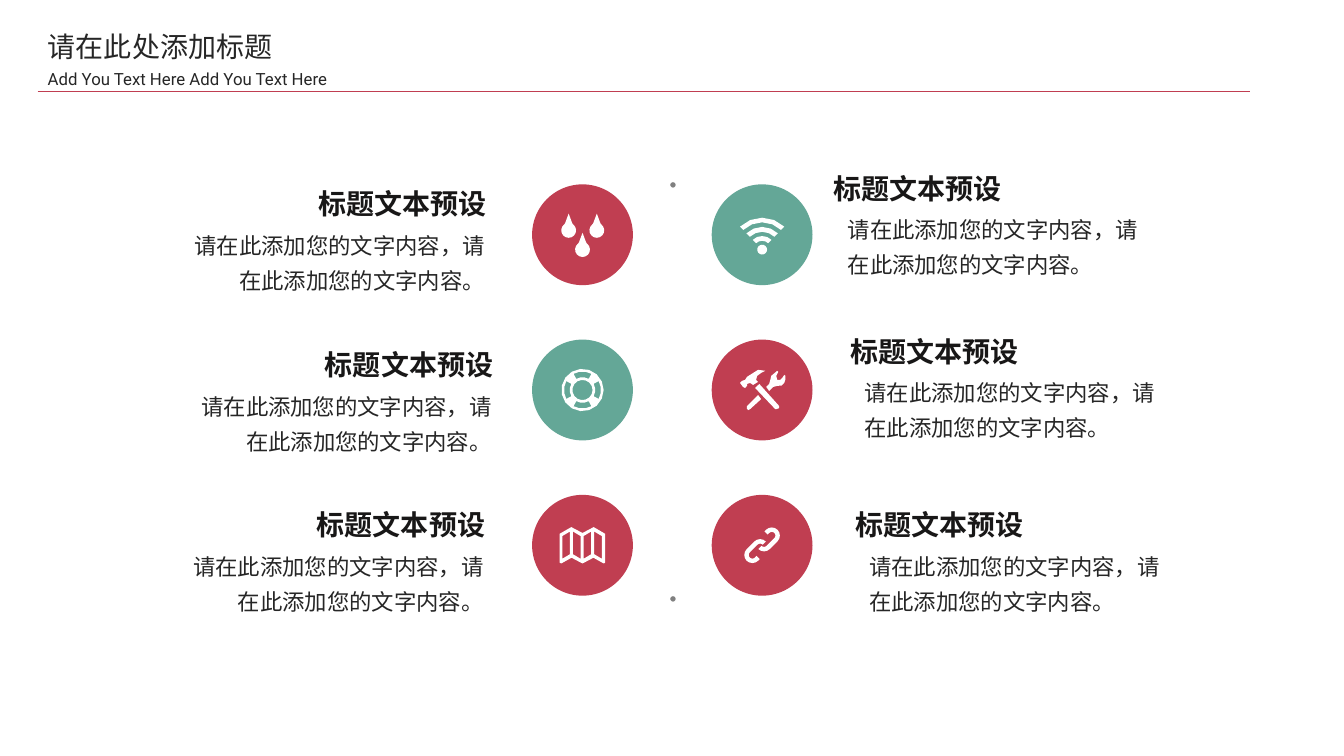
"""Build a slide of six captioned icons in two columns."""
from math import cos, hypot, radians, sin

from pptx import Presentation
from pptx.dml.color import RGBColor
from pptx.enum.shapes import MSO_CONNECTOR, MSO_SHAPE
from pptx.enum.text import MSO_ANCHOR, MSO_AUTO_SIZE, PP_ALIGN
from pptx.oxml.ns import qn
from pptx.util import Pt
from lxml import etree

LEFT, RIGHT = PP_ALIGN.LEFT, PP_ALIGN.RIGHT
TOP = MSO_ANCHOR.TOP
NO_AUTOFIT = MSO_AUTO_SIZE.NONE
OVAL = MSO_SHAPE.OVAL
STRAIGHT = MSO_CONNECTOR.STRAIGHT

RED = RGBColor(0xC0, 0x3E, 0x51)
GREEN = RGBColor(0x64, 0xA7, 0x97)
GRAY = RGBColor(0x80, 0x80, 0x80)
WHITE = RGBColor(0xFF, 0xFF, 0xFF)
INK = RGBColor(0x26, 0x26, 0x26)
HEADING_INK = RGBColor(0x18, 0x17, 0x17)

FONT = "Roboto"
HEADING = "标题文本预设"
DESCRIPTION = "请在此添加您的文字内容，请在此添加您的文字内容。"

CIRCLE_SIZE, DOT_SIZE = 72, 5
LEFT_CENTER, RIGHT_CENTER, AXIS = 416.1, 544.4, 480.7
AXIS_TOP, AXIS_BOTTOM = 132.1, 427.8
FIRST_ROW, ROW_STEP = 167.7, 110.9
HEADING_WIDTH, DESCRIPTION_WIDTH = 194.4, 218
ARC_STEP = 24

HAMMER_HEAD = [
    (-10.8, -4.3), (-8.6, -5), (-6.5, -3.6), (-2.9, -5.8), (-4.3, -7.2), (-3.6, -10),
    (-0.7, -12.2), (2.2, -13.7), (-2.9, -14.4), (-8.6, -10.8), (-10.8, -9.4),
    (-12.2, -7.2), (-14.4, -6.5), (-15.8, -5), (-13.7, -2.2), (-12.2, -1.4), (-10.8, -2.9)]
HAMMER_HANDLE = [(-2, -4.3), (-5, -1.4), (9.4, 13.7), (10.1, 13.7), (12.2, 13), (12.2, 11.5)]
WRENCH_HEAD = [
    (16.6, -10.1), (15.8, -10.8), (14.4, -8.6), (12.9, -7.2), (10.8, -7.2), (10.1, -10),
    (11.5, -13), (10.8, -13.7), (6.5, -10.1), (5.8, -7), (5, -4.3), (2.9, -2.2),
    (5, 0.7), (7.9, -2.2), (10.8, -2.9), (14, -3.2), (15.8, -5), (16.6, -7.5)]
WRENCH_HANDLE = [(-10.8, 11.5), (-11, 13), (-10.1, 14.4), (-8.6, 13.7), (-0.7, 6.5), (-2.9, 3.6)]


def arc(x, y, radius, start, end):
    """Return points on an arc, with angles running clockwise in degrees."""
    steps = max(3, round(abs(end - start) / ARC_STEP))
    angles = [radians(start + (end - start) * i / steps) for i in range(steps + 1)]
    return [(x + radius * cos(a), y + radius * sin(a)) for a in angles]


def band(y, inner, outer, start, end):
    """Return the outline of a ring sector."""
    return arc(0, y, outer, start, end) + arc(0, y, inner, end, start)


def drops_icon():
    """Return the outlines of three water drops."""
    drop = [(-2.6, 7), (0, 0), (2.6, 7)] + arc(0, 12, 5.3, -30, 210)
    tips = [(-9.9, -15.1), (10.2, -15.1), (0, -1.4)]
    return [[(x + dx, y + dy) for dx, dy in drop] for x, y in tips]


def wifi_icon():
    """Return the outlines of a signal dot and its three waves."""
    waves = [(6.2, 9.6), (12.6, 16.1), (19.4, 22.7)]
    return [arc(0, 10.6, 3.5, 0, 360)] + [band(10.5, *wave, 226, 314) for wave in waves]


def lifebuoy_icon():
    """Return the outlines of a ring with four openings."""
    rings = [arc(0, 0, radius, 0, 360) for radius in (15.1, 7.2)]
    return rings + [band(0, 9.1, 13.2, mid - 29, mid + 29) for mid in range(0, 360, 90)]


def map_icon():
    """Return the outlines of a folded map with four panels."""
    sheet = [(-16.4, -8.2), (-8, -13), (0, -8.8), (8, -13), (16.2, -8.2), (16.2, 12.4),
             (15.2, 13), (7.8, 8.9), (0, 13), (-7.8, 8.9), (-15.2, 13), (-16.4, 12.4)]
    panels = []
    for i in range(4):
        x = -14.4 + 7.6 * i
        rise, fall = (0, 3.2) if i % 2 == 0 else (3.2, 0)
        panels.append([(x, -6.6 - rise), (x + 5.4, -6.6 - fall),
                       (x + 5.4, 9.6 - fall), (x, 9.6 - rise)])
    return [sheet] + panels


def link_icon():
    """Return the outlines of two interlocked chain links."""
    outer, inner = 5.8, 2.6
    link = ([(-8.2, outer)] + arc(-9.8, 0, outer, 90, 270) + arc(-2, 0, outer, 270, 360)
            + arc(-2, 0, inner, 360, 270) + arc(-9.8, 0, inner, 270, 90) + [(-8.2, inner)])
    diagonal = hypot(1, 1)
    return [[(side * (u + v) / diagonal, side * (v - u) / diagonal) for u, v in link]
            for side in (1, -1)]


def tools_icon():
    """Return the outlines of a crossed hammer and wrench."""
    return [HAMMER_HEAD, HAMMER_HANDLE, WRENCH_HEAD, WRENCH_HANDLE]


def add_disc(slide, x, y, size, color):
    """Add a plain disc centred on a point."""
    disc = slide.shapes.add_shape(OVAL, Pt(x - size / 2), Pt(y - size / 2), Pt(size), Pt(size))
    disc.shadow.inherit = False
    disc.fill.solid()
    disc.fill.fore_color.rgb = color
    disc.line.fill.background()
    return disc


def add_icon(slide, x, y, outlines):
    """Add a white icon whose outlines are relative to its centre."""
    placed = [[(Pt(x + dx), Pt(y + dy)) for dx, dy in outline] for outline in outlines]
    builder = slide.shapes.build_freeform(*placed[0][0])
    builder.add_line_segments(placed[0][1:], close=True)
    for outline in placed[1:]:
        builder.move_to(*outline[0])
        builder.add_line_segments(outline[1:], close=True)
    icon = builder.convert_to_shape()
    icon.shadow.inherit = False
    icon.fill.solid()
    icon.fill.fore_color.rgb = WHITE
    icon.line.fill.background()


def add_rule(slide, start, end, color, width):
    """Add a straight line between two points."""
    rule = slide.shapes.add_connector(STRAIGHT, *map(Pt, start + end))
    rule.line.color.rgb = color
    rule.line.width = Pt(width)
    etree.SubElement(rule._element.spPr, qn("a:effectLst"))


def format_text(frame, text, size, color, align=LEFT, bold=False, spacing=1.0):
    """Write one formatted paragraph into a text frame."""
    frame.word_wrap = True
    frame.auto_size = NO_AUTOFIT
    frame.vertical_anchor = TOP
    paragraph = frame.paragraphs[0]
    paragraph.text = text
    paragraph.alignment = align
    paragraph.line_spacing = spacing
    font = paragraph.runs[0].font
    font.name, font.size, font.bold = FONT, Pt(size), bold
    font.color.rgb = color


def add_text(slide, left, top, width, height):
    """Add an empty text box and return its frame."""
    return slide.shapes.add_textbox(Pt(left), Pt(top), Pt(width), Pt(height)).text_frame


def add_caption(slide, left, top, align):
    """Add a bold heading with its description below."""
    heading = add_text(slide, left, top, HEADING_WIDTH, 31.5)
    format_text(heading, HEADING, 20, HEADING_INK, align, bold=True)
    inset = HEADING_WIDTH - 8.2 - DESCRIPTION_WIDTH if align == RIGHT else 17.2
    description = add_text(slide, left + inset, top + 30.2, DESCRIPTION_WIDTH, 50.4)
    description.margin_left = description.margin_right = 0
    description.margin_top = description.margin_bottom = 0
    format_text(description, DESCRIPTION, 16, INK, align, spacing=1.3)


def add_header(slide):
    """Place the title, the subtitle and the rule under them."""
    title = slide.shapes.title
    title.left, title.top, title.width, title.height = Pt(27), Pt(17.5), Pt(198), Pt(31.5)
    format_text(title.text_frame, "请在此处添加标题", 20, INK)
    subtitle = add_text(slide, 27, 41.4, 240.5, 24.5)
    format_text(subtitle, "Add You Text Here Add You Text Here", 12, INK, spacing=1.3)
    add_rule(slide, (26.8, 65.1), (892.8, 65.1), RED, 0.5)


def add_axis(slide):
    """Add the white axis between the columns with a dot at each end."""
    add_rule(slide, (AXIS, AXIS_TOP), (AXIS, AXIS_BOTTOM), WHITE, 1)
    for y in (AXIS_TOP, AXIS_BOTTOM):
        dot = add_disc(slide, AXIS, y, DOT_SIZE, GRAY)
        dot.line.color.rgb = WHITE
        dot.line.width = Pt(1)


def main():
    """Build and save the slide."""
    presentation = Presentation()
    presentation.slide_width, presentation.slide_height = Pt(960), Pt(540)
    slide = presentation.slides.add_slide(presentation.slide_layouts[5])
    add_header(slide)
    add_axis(slide)
    left_column = [(RED, drops_icon, 160.3, 129.6), (GREEN, lifebuoy_icon, 165.1, 244.8),
                   (RED, map_icon, 159.3, 359.3)]
    right_column = [(GREEN, wifi_icon, 588.3, 118.8), (RED, tools_icon, 600.4, 235.1),
                    (RED, link_icon, 603.7, 359.3)]
    for center, align, column in ((LEFT_CENTER, RIGHT, left_column),
                                  (RIGHT_CENTER, LEFT, right_column)):
        for row, (color, icon, caption_left, caption_top) in enumerate(column):
            y = FIRST_ROW + ROW_STEP * row
            add_disc(slide, center, y, CIRCLE_SIZE, color)
            add_icon(slide, center, y, icon())
            add_caption(slide, caption_left, caption_top, align)
    presentation.save("out.pptx")


if __name__ == "__main__":
    main()
